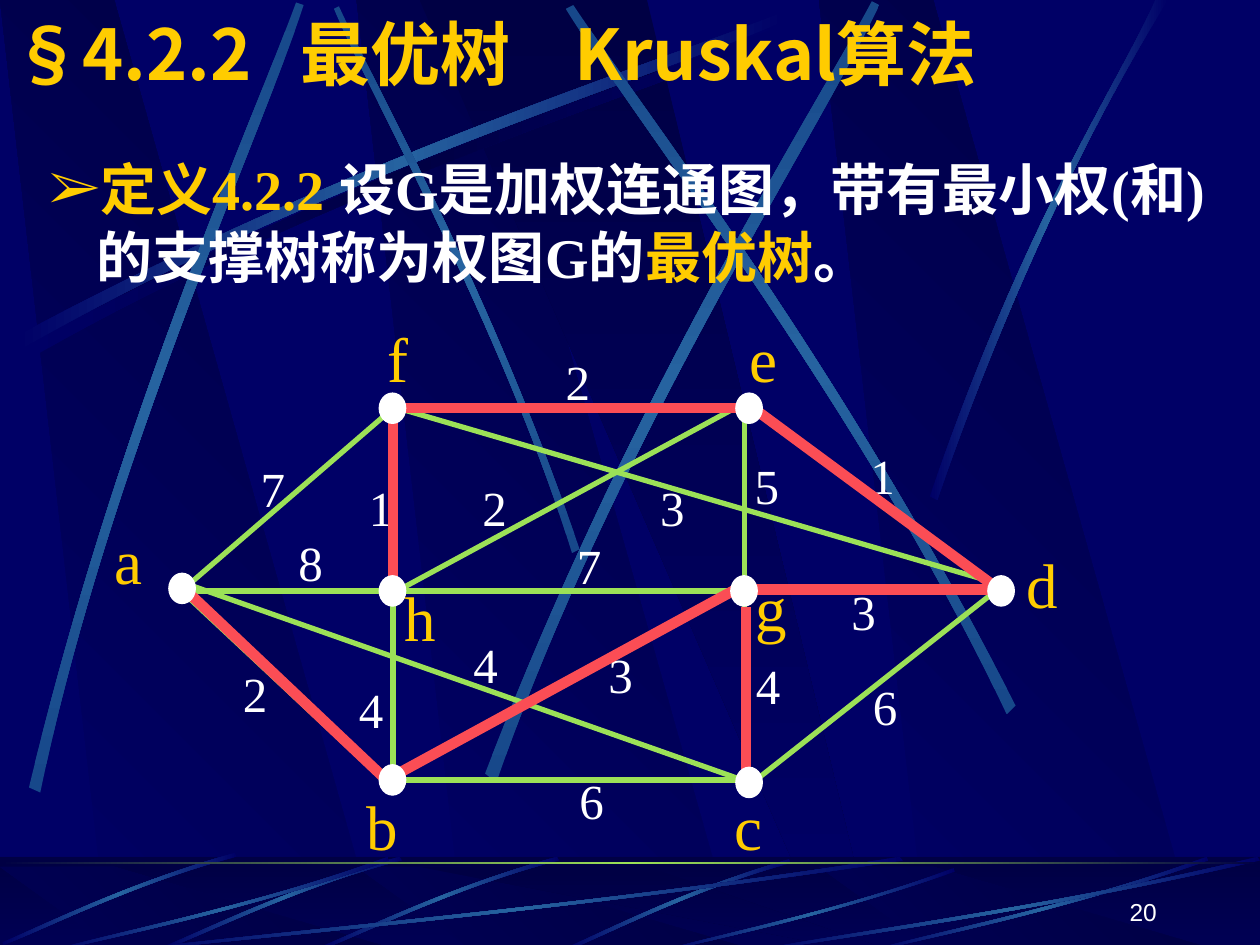
import dataclasses

import lxml.etree
import pptx
import pptx.dml.color
import pptx.enum.shapes
import pptx.enum.text
import pptx.oxml.ns
import pptx.util

Inches = pptx.util.Inches
Pt = pptx.util.Pt
qn = pptx.oxml.ns.qn
SHAPES = pptx.enum.shapes.MSO_SHAPE
ANCHOR = pptx.enum.text.MSO_ANCHOR
ALIGN = pptx.enum.text.PP_ALIGN


@dataclasses.dataclass(frozen=True)
class Theme:
    navy: str = "000066"
    night: str = "000044"
    beam: str = "2663A0"
    dim_beam: str = "17488A"
    gold: str = "FFCC00"
    white: str = "FFFFFF"
    green: str = "9CE157"
    red: str = "FB4D55"
    cjk: str = "Noto Sans CJK SC"
    serif: str = "Times New Roman"
    sans: str = "Arial"
    title: int = 40
    body: int = 32
    vertex: int = 36
    weight: int = 28
    number: int = 14
    edge: int = 3
    tree: int = 6


def rgb(value):
    return pptx.dml.color.RGBColor.from_string(value)


def child(parent, tag, **attributes):
    return lxml.etree.SubElement(parent, qn(tag), attributes)


def fit(points, left, top, width, height):
    return [(left + x * width, top + y * height) for x, y in points]


class Deck:
    def __init__(self, theme):
        self.theme = theme
        self.file = pptx.Presentation()
        self.file.slide_width, self.file.slide_height = Inches(10), Inches(7.5)
        self.slide = self.file.slides.add_slide(self.file.slide_layouts[6])
        backdrop = self.slide.background.fill
        backdrop.solid()
        backdrop.fore_color.rgb = rgb(theme.navy)

    def paint(self, shape, colours, angle=0, opacity=None):
        shape.shadow.inherit = False
        shape.line.fill.background()
        if len(colours) == 1:
            shape.fill.solid()
            shape.fill.fore_color.rgb = rgb(colours[0])
            if opacity:
                colour = shape.fill._xPr.find(qn("a:solidFill"))[0]
                child(colour, "a:alpha", val=str(opacity * 1000))
            return
        shape.fill.background()
        blank = shape._element.spPr.find(qn("a:noFill"))
        gradient = lxml.etree.Element(qn("a:gradFill"), rotWithShape="1")
        stops = child(gradient, "a:gsLst")
        for index, colour in enumerate(colours):
            position = 100000 * index // (len(colours) - 1)
            stop = child(stops, "a:gs", pos=str(position))
            child(stop, "a:srgbClr", val=colour)
        child(gradient, "a:lin", ang=str(angle * 60000), scaled="0")
        blank.getparent().replace(blank, gradient)

    def polygon(self, points, colours, angle=0):
        corners = [(Inches(x), Inches(y)) for x, y in points]
        builder = self.slide.shapes.build_freeform(*corners[0], scale=1.0)
        builder.add_line_segments(corners[1:], close=True)
        outline = builder.convert_to_shape()
        self.paint(outline, colours, angle)
        return outline

    def streak(self, points, colours, angle=0):
        outline = self.polygon(points, colours, angle)
        segments = list(outline._element.iter(qn("a:lnTo")))
        for first in (0, 4):
            curve = lxml.etree.Element(qn("a:cubicBezTo"))
            segments[first].addprevious(curve)
            for segment in segments[first:first + 3]:
                curve.append(segment[0])
                segment.getparent().remove(segment)

    def shape(self, kind, box, colours, angle=0, opacity=None):
        item = self.slide.shapes.add_shape(kind, *map(Inches, box))
        self.paint(item, colours, angle, opacity)
        return item

    def edge(self, ends, colour, width):
        line = self.slide.shapes.add_connector(
            pptx.enum.shapes.MSO_CONNECTOR.STRAIGHT, *map(Inches, ends))
        line.line.color.rgb = rgb(colour)
        line.line.width = Pt(width)
        child(line._element.spPr, "a:effectLst")

    def text(self, box, runs, size, bold=False, wrap=True, anchor=ANCHOR.TOP,
             align=ALIGN.LEFT, bullet=None, tabs=()):
        frame = self.slide.shapes.add_textbox(*map(Inches, box)).text_frame
        frame.word_wrap = wrap
        frame.vertical_anchor = anchor
        paragraph = frame.paragraphs[0]
        paragraph.alignment = align
        properties = paragraph._p.get_or_add_pPr()
        if bullet:
            indent = Inches(0.38)
            properties.set("marL", str(indent))
            properties.set("indent", str(-indent))
            child(child(properties, "a:buClr"), "a:srgbClr", val=self.theme.gold)
            child(properties, "a:buFont", typeface=self.theme.serif)
            child(properties, "a:buChar", char=bullet)
        if tabs:
            stops = child(properties, "a:tabLst")
            for stop in tabs:
                child(stops, "a:tab", pos=str(Inches(stop)), algn="l")
        for words, font, colour in runs:
            run = paragraph.add_run()
            run.text = words
            run.font.name = font
            run.font.size = Pt(size)
            run.font.bold = bold
            run.font.color.rgb = rgb(colour)
            if font == self.theme.cjk:
                child(run._r.get_or_add_rPr(), "a:ea", typeface=font)

    def label(self, letter, left, top, width, height, size, colour):
        self.text((left, top, width, height),
                  [(letter, self.theme.serif, colour)], size, wrap=False)


SLAB = [(0.285, 1), (1, 1), (0.3, 0), (0, 0)]
CENTRE_SLAB = [(0, 0), (0.9, 1), (1, 1), (0.5, 0)]
RAY = [(0, 0.96), (0.434, 0.43), (0.829, 0.155), (0.995, 0),
       (1, 0.025), (0.834, 0.19), (0.383, 0.5), (0.005, 1)]
SWEEP = [(1, 0.04), (0.566, 0.573), (0.172, 0.853), (0.005, 1),
         (0, 0.987), (0.165, 0.813), (0.616, 0.507), (0.995, 0)]
SPARK = [(0.99, 0), (0.53, 0.33), (0.165, 0.8), (0, 0.97),
         (0.005, 1), (0.17, 0.84), (0.58, 0.31), (1, 0.04)]
BEAMS = [
    [(4.6, 4.36), (3.91, 2.34), (3.02, 0.77), (2.69, 0.05),
     (2.65, 0.07), (2.95, 0.79), (3.98, 2.58), (4.54, 4.39)],
    [(0.23, 6.25), (0.93, 3.34), (1.97, 1.05), (2.35, 0.02),
     (2.41, 0.04), (2.07, 1.09), (0.86, 3.68), (0.32, 6.29)],
    [(3.85, 6.14), (4.98, 3.2), (6.38, 1.02), (6.92, 0.01),
     (6.98, 0.04), (6.49, 1.08), (4.86, 3.55), (3.94, 6.21)],
    [(8.06, 5.6), (6.7, 2.93), (5.16, 0.95), (4.55, 0.04),
     (4.49, 0.07), (5.07, 1.01), (6.85, 3.25), (7.99, 5.67)],
]
CORNER_BEAM = [(7.38, 3.94), (8.14, 1.73), (8.88, 0.66), (9.17, 0),
               (9.27, 0), (8.36, 1.45), (7.69, 3.22), (7.44, 3.97)]
SPARKS = [(4.48, 6.82, 1.8), (2.56, 6.8, 1.88), (1.31, 6.8, 1.88), (0.02, 6.77, 1.86)]
SWEEPS = [(1, 6.8, 6.17), (0.42, 6.8, 2.67), (5.27, 6.89, 2.31),
          (6.92, 6.8, 2.67), (6, 6.8, 4)]

EDGES = [(3.06, 6.19, 5.96, 4.62), (3.06, 4.74, 5.96, 3.17), (5.89, 6.19, 1.44, 4.62),
         (7.88, 4.62, 3.16, 3.24), (3.12, 6.19, 3.12, 3.29), (5.91, 6.19, 5.91, 3.29),
         (1.44, 4.69, 3.12, 6.26), (3.12, 6.19, 5.95, 6.19), (5.95, 6.23, 7.94, 4.66),
         (1.44, 4.69, 7.94, 4.69), (1.44, 4.69, 3.12, 3.24), (3.12, 3.24, 5.95, 3.24),
         (5.95, 3.24, 7.94, 4.69)]
TREE = [(3.12, 3.32, 3.12, 4.65), (5.98, 3.24, 7.89, 4.65), (3.14, 3.24, 5.89, 3.24),
        (5.89, 4.65, 3.14, 6.15), (5.95, 4.68, 7.95, 4.68), (1.46, 4.67, 3.13, 6.25),
        (5.92, 4.82, 5.92, 6.15)]
VERTICES = [(5.84, 6.09), (3.01, 3.12), (3.01, 4.57), (5.8, 4.57),
            (7.84, 4.57), (3.01, 6.07), (5.84, 3.12), (1.34, 4.55)]
LETTERS = {"a": (0.81, 4.09, 0.42), "b": (2.81, 6.2, 0.45), "c": (5.73, 6.2, 0.42),
           "d": (8.05, 4.28, 0.45), "e": (5.85, 2.49, 0.42), "f": (2.98, 2.49, 0.37),
           "g": (5.9, 4.46, 0.45), "h": (3.11, 4.54, 0.45)}
WEIGHTS = {
    "1": [(2.83, 3.74), (6.81, 3.49)],
    "2": [(1.83, 5.22), (3.73, 3.74), (4.39, 2.74)],
    "3": [(4.73, 5.07), (5.14, 3.74), (6.66, 4.57)],
    "4": [(2.75, 5.34), (3.66, 4.99), (5.9, 5.15)],
    "5": [(5.89, 3.57)],
    "6": [(4.5, 6.07), (6.83, 5.32)],
    "7": [(1.97, 3.59), (4.48, 4.2)],
    "8": [(2.27, 4.18)],
}


def slabs(deck, top, height):
    theme = deck.theme
    for left in (2.83, 0, 6.5):
        deck.polygon(fit(SLAB, left, top, 3.02, height), (theme.navy, theme.night), 315)
    deck.polygon(fit(CENTRE_SLAB, 3.33, top, 3.61, height), (theme.night, theme.navy), 90)


def backdrop(deck):
    theme = deck.theme
    glow = (theme.navy, theme.beam, theme.navy)
    slabs(deck, 0, 7.5)
    deck.streak(fit(RAY, 0.2, 0.18, 6.09, 2.67), (theme.navy, theme.night, theme.navy))
    deck.streak(fit(RAY, 0.14, 0.1, 6.09, 2.67), glow)
    for beam in BEAMS:
        deck.streak(beam, (theme.dim_beam, theme.beam, theme.dim_beam), 90)
    deck.streak(CORNER_BEAM, glow)
    floor = (0, 6.8, 10, 0.7)
    deck.shape(SHAPES.RECTANGLE, floor, (theme.night, theme.navy), 90)
    slabs(deck, 6.88, 0.62)
    deck.shape(SHAPES.RECTANGLE, floor, (theme.night,), opacity=50)
    for left, top, width in SPARKS:
        deck.streak(fit(SPARK, left, top, width, 0.73), glow)
    for left, top, width in SWEEPS:
        deck.streak(fit(SWEEP, left, top, width, 7.55 - top), glow)
    deck.shape(SHAPES.RECTANGLE, (0, 6.84, 10, 0.02),
               (theme.night, theme.green, theme.night))


def wording(deck):
    t = deck.theme
    deck.text((0, 0.03, 8.5, 0.77), [("§4.2.2\t最优树\tKruskal算法", t.cjk, t.gold)],
              t.title, bold=True, anchor=ANCHOR.MIDDLE, tabs=(2.29, 4.46))
    definition = [
        ("定义", t.cjk, t.gold), ("4.2.2 ", t.serif, t.gold),
        ("设", t.cjk, t.white), ("G", t.serif, t.white),
        ("是加权连通图，带有最小权", t.cjk, t.white), ("(", t.serif, t.white),
        ("和", t.cjk, t.white), (")", t.serif, t.white),
        ("的支撑树称为权图", t.cjk, t.white), ("G", t.serif, t.white),
        ("的", t.cjk, t.white), ("最优树", t.cjk, t.gold), ("。", t.cjk, t.white)]
    deck.text((0.29, 1.18, 9.58, 5.58), definition, t.body, bold=True, bullet="➢")


def graph(deck):
    theme = deck.theme
    for ends in EDGES:
        deck.edge(ends, theme.green, theme.edge)
    for weight, places in WEIGHTS.items():
        for place in places:
            deck.label(weight, *place, 0.4, 0.57, theme.weight, theme.white)
    for letter, place in LETTERS.items():
        deck.label(letter, *place, 0.7, theme.vertex, theme.gold)
    for ends in TREE:
        deck.edge(ends, theme.red, theme.tree)
    for place in VERTICES:
        dot = deck.shape(SHAPES.OVAL, (*place, 0.21, 0.24), (theme.white,))
        dot.line.color.rgb = rgb(theme.white)
        dot.line.width = Pt(0.75)


def main():
    deck = Deck(Theme())
    backdrop(deck)
    wording(deck)
    graph(deck)
    deck.text((7.2, 6.9, 2.08, 0.5), [("20", deck.theme.sans, deck.theme.white)],
              deck.theme.number, anchor=ANCHOR.BOTTOM, align=ALIGN.RIGHT)
    deck.file.save("out.pptx")


if __name__ == "__main__":
    main()
